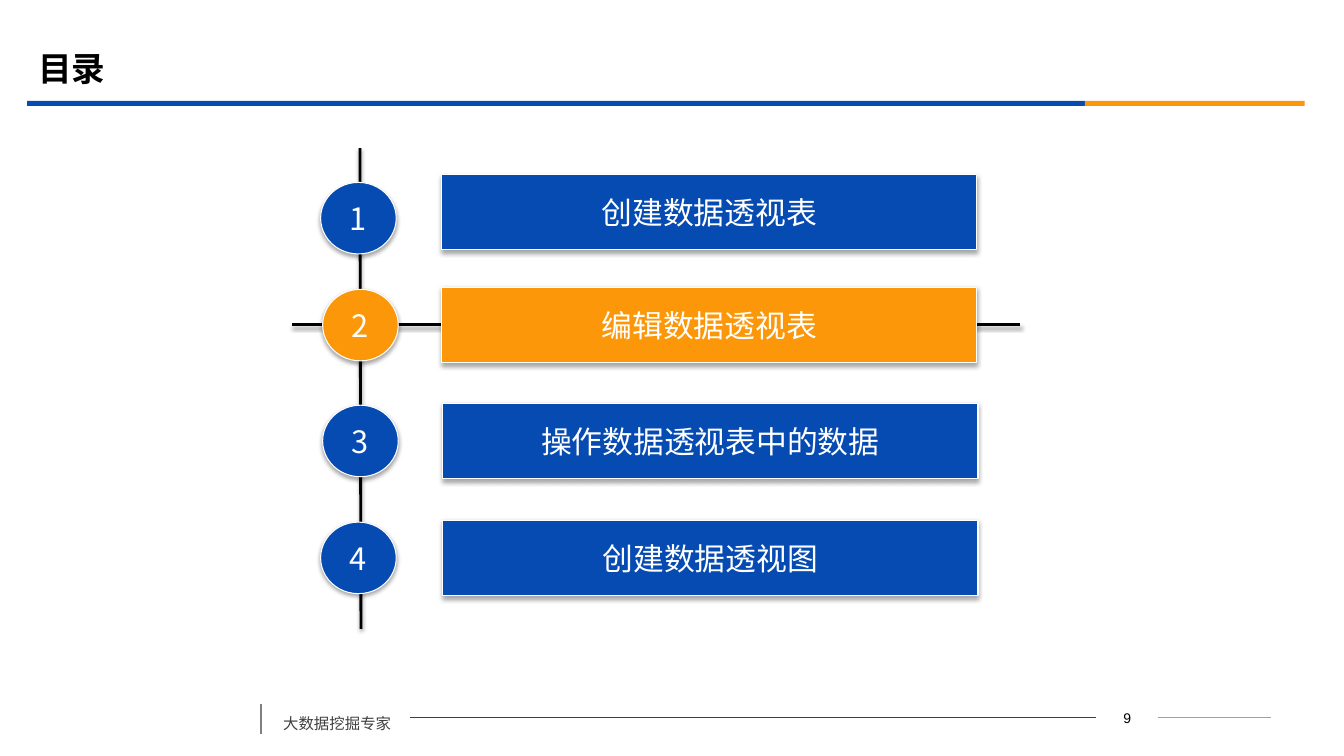
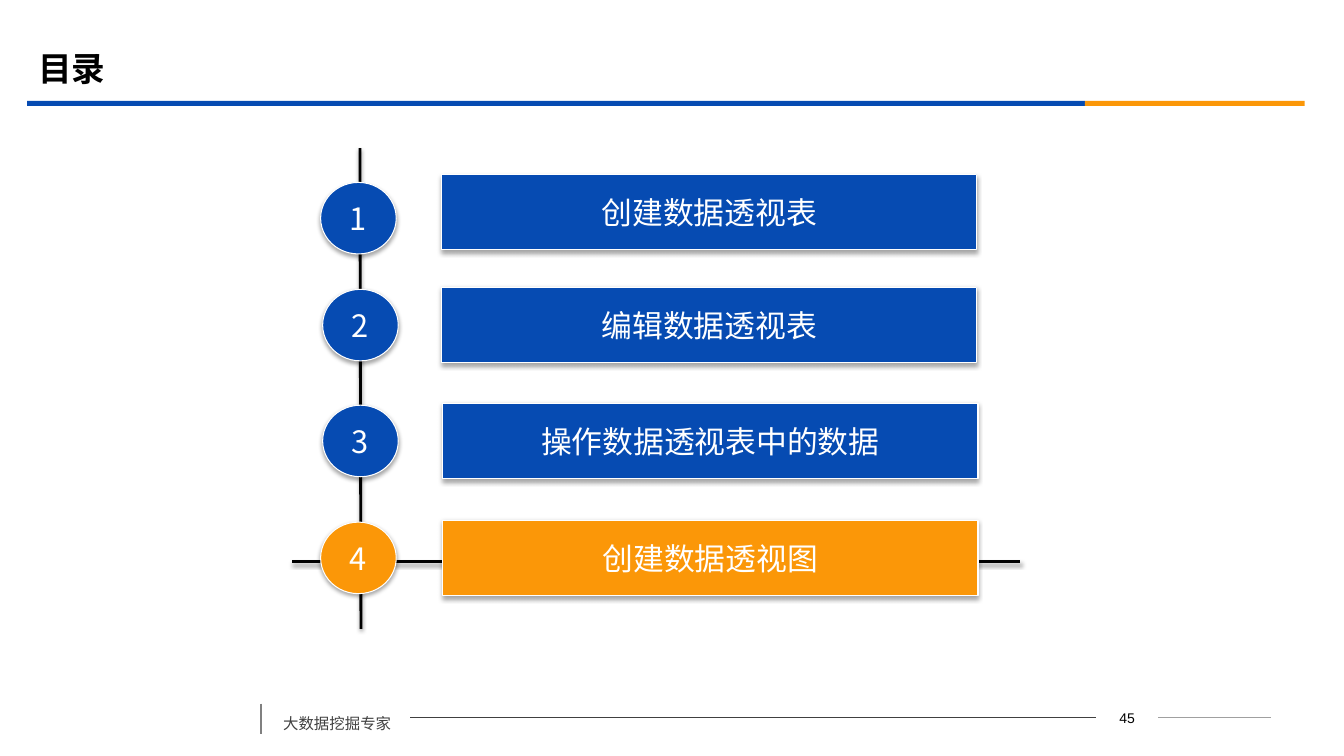
from dataclasses import dataclass

import pptx
import pptx.dml.color
import pptx.enum.shapes
import pptx.enum.text
import pptx.oxml
import pptx.oxml.ns
import pptx.util
from pptx.util import Inches

MSO_SHAPE = pptx.enum.shapes.MSO_SHAPE
ALIGN = pptx.enum.text.PP_ALIGN
ANCHOR = pptx.enum.text.MSO_ANCHOR

COLORS = {
    "blue": "064BB2",
    "orange": "FB9708",
    "white": "FFFFFF",
    "black": "000000",
    "dark": "404040",
    "gray": "808080",
    "light": "A0A0A0",
}
CJK = "Noto Sans CJK SC"


@dataclass(frozen=True)
class Box:
    left: float
    top: float
    width: float
    height: float

    def emu(self) -> tuple:
        return tuple(Inches(v) for v in (self.left, self.top, self.width, self.height))


@dataclass(frozen=True)
class Rule:
    x1: float
    y1: float
    x2: float
    y2: float
    color: str
    width: float


@dataclass(frozen=True)
class Entry:
    text: str
    bar_left: float
    bar_top: float
    dot_left: float
    dot_top: float


@dataclass(frozen=True)
class Agenda:
    page: int
    active: int
    marker_y: float


BANDS = [(Box(0.27, 1, 10.49, 0.05), "blue"), (Box(10.76, 1, 2.18, 0.05), "orange")]
FOOTER_RULES = [
    Rule(11.49, 7.12, 12.61, 7.12, "light", 0.75),
    Rule(4.07, 7.12, 10.87, 7.12, "dark", 0.75),
    Rule(2.59, 6.98, 2.59, 7.28, "gray", 1.25),
]
ENTRIES = [
    Entry("创建数据透视表", 4.38, 1.73, 3.18, 1.81),
    Entry("编辑数据透视表", 4.38, 2.85, 3.2, 2.87),
    Entry("操作数据透视表中的数据", 4.39, 4, 3.2, 4.02),
    Entry("创建数据透视图", 4.39, 5.16, 3.18, 5.18),
]
AGENDAS = [Agenda(9, 2, 3.22), Agenda(45, 4, 5.57)]


def rgb(name: str) -> pptx.dml.color.RGBColor:
    return pptx.dml.color.RGBColor.from_string(COLORS[name])


def set_effects(sp, alpha: int = 0, distance: float = 0) -> None:
    """Replace inherited effects with a downward shadow, or with none if alpha is 0."""
    shadow = ""
    if alpha:
        shadow = (
            f'<a:outerShdw blurRad="{pptx.util.Pt(3.1)}" dist="{pptx.util.Pt(distance)}"'
            ' dir="5400000" rotWithShape="0">'
            f'<a:srgbClr val="{COLORS["black"]}"><a:alpha val="{alpha * 1000}"/>'
            "</a:srgbClr></a:outerShdw>"
        )
    ns = pptx.oxml.ns.nsdecls("a")
    sp._element.spPr.append(
        pptx.oxml.parse_xml(f"<a:effectLst {ns}>{shadow}</a:effectLst>")
    )


def write(sp, text: str, size: float, color: str, font: str = CJK,
          align=ALIGN.LEFT, bold: bool = False):
    tf = sp.text_frame
    tf.text = text
    p = tf.paragraphs[0]
    p.alignment = align
    r = p.runs[0]
    r.font.size = pptx.util.Pt(size)
    r.font.name = font
    r.font.bold = bold
    r.font.color.rgb = rgb(color)
    ns = pptx.oxml.ns.nsdecls("a")
    r.font._element.find(pptx.oxml.ns.qn("a:latin")).addnext(
        pptx.oxml.parse_xml(f'<a:ea {ns} typeface="{font}"/>')
    )
    return p


def add_rule(slide, rule: Rule, shadow: bool = False) -> None:
    line = slide.shapes.add_connector(
        pptx.enum.shapes.MSO_CONNECTOR.STRAIGHT,
        Inches(rule.x1), Inches(rule.y1), Inches(rule.x2), Inches(rule.y2),
    )
    line.line.color.rgb = rgb(rule.color)
    line.line.width = pptx.util.Pt(rule.width)
    set_effects(line, 38 if shadow else 0, 1.6)


def add_band(slide, box: Box, color: str) -> None:
    sp = slide.shapes.add_shape(MSO_SHAPE.RECTANGLE, *box.emu())
    sp.shadow.inherit = False
    sp.fill.solid()
    sp.fill.fore_color.rgb = rgb(color)
    sp.line.fill.background()


def add_button(slide, kind, box: Box, text: str, color: str) -> None:
    """Add a filled, white-edged, shadowed shape with centred text."""
    sp = slide.shapes.add_shape(kind, *box.emu())
    sp.fill.solid()
    sp.fill.fore_color.rgb = rgb(color)
    sp.line.color.rgb = rgb("white")
    sp.line.width = pptx.util.Pt(0.75)
    set_effects(sp, 35, 1.8)
    sp.text_frame.word_wrap = False
    sp.text_frame.vertical_anchor = ANCHOR.MIDDLE
    write(sp, text, 22, "white", align=ALIGN.CENTER)


def add_frame(slide, title: str, page: int) -> None:
    """Add the title, the bands below it and the footer."""
    sp = slide.shapes.title
    sp.left, sp.top, sp.width, sp.height = Box(0.28, 0.39, 12, 0.58).emu()
    sp.text_frame.vertical_anchor = ANCHOR.MIDDLE
    write(sp, title, 24, "black", bold=True)
    for box, color in BANDS:
        add_band(slide, box, color)
    for rule in FOOTER_RULES:
        add_rule(slide, rule)
    number = slide.shapes.add_textbox(*Box(10.87, 6.99, 0.62, 0.25).emu())
    number.text_frame.word_wrap = True
    write(number, str(page), 10, "black", font="Arial", align=ALIGN.CENTER)
    motto = slide.shapes.add_textbox(*Box(2.71, 6.94, 1.36, 0.38).emu())
    motto.text_frame.word_wrap = True
    write(motto, "大数据挖掘专家", 11, "dark").line_spacing = 1.5


def add_agenda(prs, agenda: Agenda) -> None:
    slide = prs.slides.add_slide(prs.slide_layouts.get_by_name("Title Only"))
    add_frame(slide, "目录", agenda.page)
    add_rule(slide, Rule(3.57, 1.47, 3.58, 6.24, "black", 2), shadow=True)
    y = agenda.marker_y
    add_rule(slide, Rule(2.9, y, 10.12, y, "black", 2), shadow=True)
    for number, entry in enumerate(ENTRIES, 1):
        color = "orange" if number == agenda.active else "blue"
        bar = Box(entry.bar_left, entry.bar_top, 5.31, 0.75)
        dot = Box(entry.dot_left, entry.dot_top, 0.75, 0.71)
        add_button(slide, MSO_SHAPE.ACTION_BUTTON_CUSTOM, bar, entry.text, color)
        add_button(slide, MSO_SHAPE.OVAL, dot, str(number), color)


def main() -> None:
    prs = pptx.Presentation()
    prs.slide_width, prs.slide_height = Inches(13.33), Inches(7.5)
    for agenda in AGENDAS:
        add_agenda(prs, agenda)
    prs.save("out.pptx")


if __name__ == "__main__":
    main()
